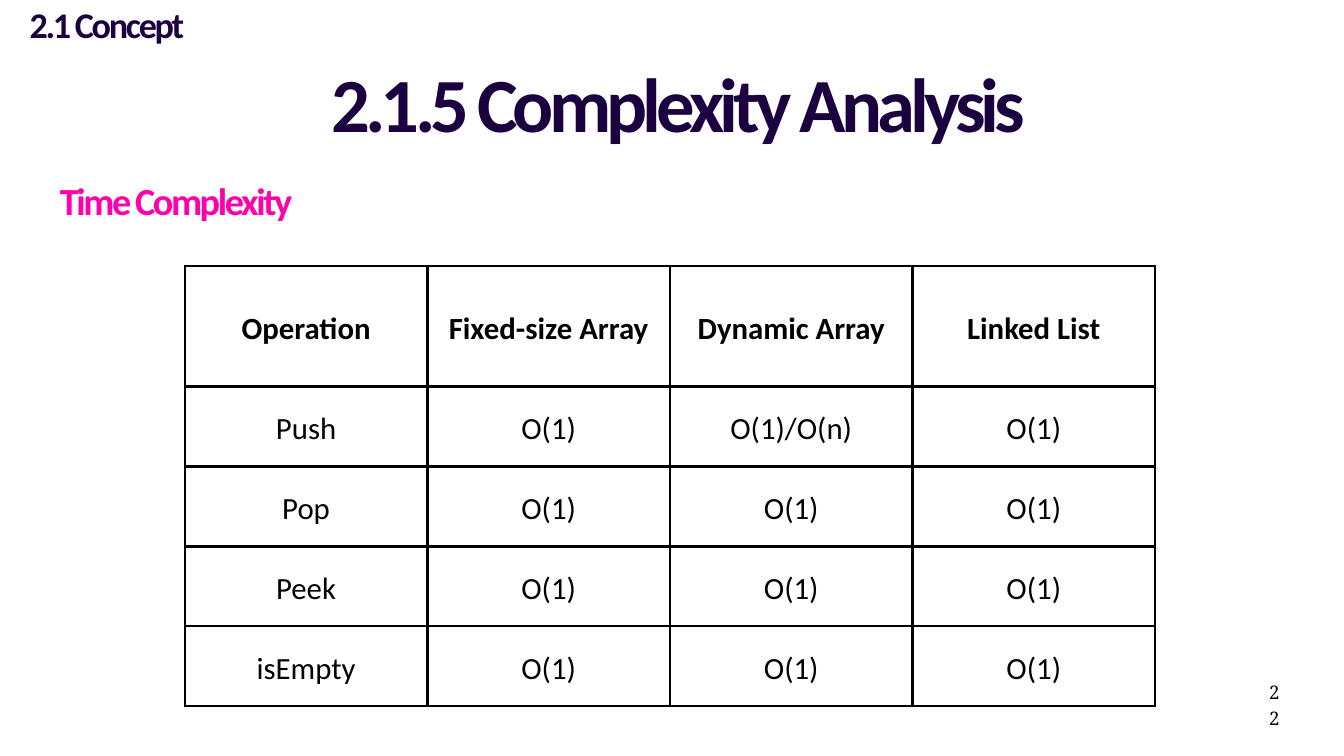
from pptx import Presentation
from pptx.dml.color import RGBColor as RGB
from pptx.enum.text import MSO_ANCHOR as Anchor, MSO_AUTO_SIZE as Fit, PP_ALIGN as Align
from pptx.oxml import parse_xml
from pptx.oxml.ns import nsdecls
from pptx.util import Inches, Pt

COLORS = {"ink": "1C0140", "pink": "FF00AB", "black": "000000"}
SIDES = ("margin_left", "margin_top", "margin_right", "margin_bottom")
ROWS = [
    ["Operation", "Fixed-size Array", "Dynamic Array", "Linked List"],
    ["Push", "O(1)", "O(1)/O(n)", "O(1)"],
    ["Pop", "O(1)", "O(1)", "O(1)"],
    ["Peek", "O(1)", "O(1)", "O(1)"],
    ["isEmpty", "O(1)", "O(1)", "O(1)"],
]


def set_all(item, values):
    for name, value in values.items():
        setattr(item, name, value)


def write(frame, text, size, lead, color, bold=True, font="Calibri", align=Align.CENTER, track=0):
    para = frame.paragraphs[0]
    set_all(para, {"alignment": align, "line_spacing": Pt(lead)})
    run = para.add_run()
    run.text = text
    set_all(run.font, {"name": font, "size": Pt(size), "bold": bold})
    run.font.color.rgb = RGB.from_string(COLORS[color])
    if track:
        run._r.get_or_add_rPr().set("spc", str(round(track * 100)))


def add_text(slide, box, *args, **style):
    frame = slide.shapes.add_textbox(*map(Inches, box)).text_frame
    set_all(frame, {**dict.fromkeys(SIDES, 0), "word_wrap": True,
                    "auto_size": Fit.SHAPE_TO_FIT_TEXT})
    write(frame, *args, **style)


def add_border(cell):
    props = cell._tc.get_or_add_tcPr()
    for i, side in enumerate(("lnL", "lnR", "lnT", "lnB")):
        props.insert(i, parse_xml(
            f'<a:{side} {nsdecls("a")} w="{Pt(3)}"><a:solidFill>'
            f'<a:srgbClr val="{COLORS["black"]}"/></a:solidFill></a:{side}>'))


def add_grid(slide, box):
    table = slide.shapes.add_table(len(ROWS), len(ROWS[0]), *map(Inches, box)).table
    set_all(table, {"first_row": False, "horz_banding": False})
    for col in table.columns:
        col.width = Inches(3.61)
    for r, texts in enumerate(ROWS):
        table.rows[r].height = Inches(1.19 if r else 1.79)
        for c, text in enumerate(texts):
            cell = table.cell(r, c)
            set_all(cell, {**dict.fromkeys(SIDES, Inches(0.21)),
                           "vertical_anchor": Anchor.MIDDLE})
            cell.fill.background()
            add_border(cell)
            write(cell.text_frame, text, 33, 46.2, "black", bold=r == 0)


def main():
    """Build the complexity analysis slide."""
    deck = Presentation()
    set_all(deck, {"slide_width": Inches(20), "slide_height": Inches(11.25)})
    slide = deck.slides.add_slide(deck.slide_layouts[6])
    add_grid(slide, (2.75, 3.96, 14.44, 6.54))
    add_text(slide, (-0.28, -0.07, 3.74, 0.81), "2.1 Concept", 38.7, 54.2, "ink", track=-2.4)
    add_text(slide, (1.12, 0.6, 17.95, 1.72), "2.1.5 Complexity Analysis",
             82.1, 114.9, "ink", track=-5.2)
    add_text(slide, (0.89, 2.52, 12.56, 0.85), "Time Complexity",
             41, 57.4, "pink", align=Align.LEFT, track=-2.6)
    add_text(slide, (18.88, 10.07, 0.17, 0.22), "22", 20, 28, "black",
             bold=False, font="Noto Serif")
    deck.save("out.pptx")


if __name__ == "__main__":
    main()
